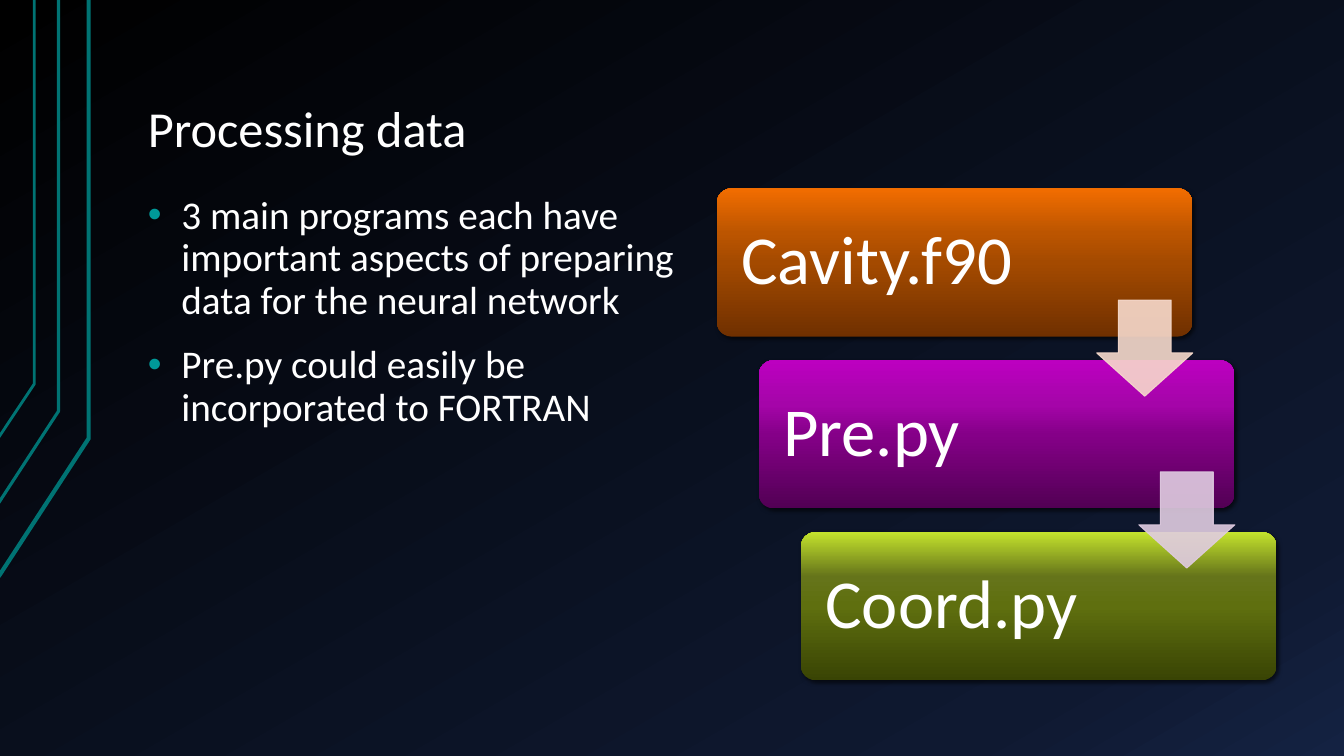
from dataclasses import dataclass

from lxml.etree import SubElement
from pptx import Presentation
from pptx.dml.color import RGBColor as RGB
from pptx.enum.shapes import MSO_SHAPE as SHAPE
from pptx.enum.text import MSO_ANCHOR as ANCHOR
from pptx.oxml.ns import qn
from pptx.util import Inches, Pt

W, H = Inches(13.33), Inches(7.5)
FONT = "Calibri"
COLORS = {"text": "FFFFFF", "bullet": "009999", "rail": "007373", "shadow": "000000"}


@dataclass(frozen=True)
class Box:
    """Place in percent of the slide's width and height."""
    x: float
    y: float
    w: float
    h: float

    def emu(self) -> tuple[int, int, int, int]:
        return across(self.x), down(self.y), across(self.w), down(self.h)


@dataclass(frozen=True)
class Stop:
    pos: int
    color: str


@dataclass(frozen=True)
class Rail:
    x: float
    start: float
    knee: float
    weight: float


@dataclass(frozen=True)
class Step:
    label: str
    stops: tuple[Stop, ...]
    arrow: str = ""


BACKGROUND = (Stop(0, "000000"), Stop(85, "0F1931"), Stop(100, "142242"))
RAILS = (
    Rail(6.6, 76.27, 58, 3),
    Rail(4.35, 66.53, 54.4, 2.25),
    Rail(2.55, 57.87, 50.8, 2),
)
TITLE = "Processing data"
BULLETS = (
    "3 main programs each have important aspects of preparing data for the neural network",
    "Pre.py could easily be incorporated to FORTRAN",
)
STEPS = (
    Step("Cavity.f90", (Stop(0, "703000"), Stop(50, "A44A00"),
                        Stop(70, "BC5500"), Stop(100, "F26D00")), "F7DACC"),
    Step("Pre.py", (Stop(0, "520054"), Stop(50, "850088"),
                    Stop(70, "A505A9"), Stop(100, "BC00C0")), "E0CCE1"),
    Step("Coord.py", (Stop(0, "394404"), Stop(50, "5F6F0F"),
                      Stop(70, "65741A"), Stop(100, "C4E32D"))),
)
STEP_DX, STEP_DY = 3.13, 22.73


def across(share: float) -> int:
    return int(W * share / 100)


def down(share: float) -> int:
    return int(H * share / 100)


def add_color(parent, color: str):
    return SubElement(parent, qn("a:srgbClr"), val=color)


def set_alpha(color_el, percent: int) -> None:
    SubElement(color_el, qn("a:alpha"), val=str(percent * 1000))


def fill_gradient(fill, owner, stops: tuple[Stop, ...], angle: int) -> None:
    """Fill with the stops; the angle runs clockwise."""
    fill.gradient()
    fill.gradient_angle = 360 - angle
    gs_list = next(owner.iter(qn("a:gsLst")))
    for old in list(gs_list):
        gs_list.remove(old)
    for stop in stops:
        add_color(SubElement(gs_list, qn("a:gs"), pos=str(stop.pos * 1000)), stop.color)


def add_shadow(sp) -> None:
    sp.shadow.inherit = False
    effects = sp._element.spPr.find(qn("a:effectLst"))
    outer = SubElement(effects, qn("a:outerShdw"), blurRad=str(Pt(3)), dist=str(Pt(2)),
                       dir=str(45 * 60000), algn="ctr", rotWithShape="0")
    set_alpha(add_color(outer, COLORS["shadow"]), 60)


def add_bullet(p) -> None:
    pPr = p._p.get_or_add_pPr()
    pPr.set("marL", str(across(2.5)))
    pPr.set("indent", str(-across(2.5)))
    add_color(SubElement(pPr, qn("a:buClr")), COLORS["bullet"])
    SubElement(pPr, qn("a:buFont"), typeface="Arial")
    SubElement(pPr, qn("a:buChar"), char="•")


def add_text(s, box: Box, lines: tuple[str, ...], size: int, anchor: ANCHOR,
             inset: tuple[float, float] = (1, 0.93), bullets: bool = False) -> None:
    tf = s.shapes.add_textbox(*box.emu()).text_frame
    tf.word_wrap = True
    tf.vertical_anchor = anchor
    tf.margin_left = tf.margin_right = across(inset[0])
    tf.margin_top = tf.margin_bottom = down(inset[1])
    for i, line in enumerate(lines):
        p = tf.add_paragraph() if i else tf.paragraphs[0]
        p.line_spacing = 0.9
        if bullets:
            p.space_before = Pt(16)
            add_bullet(p)
        r = p.add_run()
        r.text = line
        r.font.name, r.font.size = FONT, Pt(size)
        r.font.color.rgb = RGB.from_string(COLORS["text"])


def add_rail(s, rail: Rail) -> None:
    builder = s.shapes.build_freeform(across(-0.1), down(rail.start))
    builder.add_line_segments([(across(rail.x), down(rail.knee)), (across(rail.x), 0)],
                              close=False)
    sp = builder.convert_to_shape()
    sp.shadow.inherit = False
    sp.fill.background()
    sp.line.color.rgb = RGB.from_string(COLORS["rail"])
    sp.line.width = Pt(rail.weight)


def add_step(s, step: Step, x: float, y: float) -> None:
    sp = s.shapes.add_shape(SHAPE.ROUNDED_RECTANGLE, *Box(x, y, 35.4, 19.6).emu())
    sp.adjustments[0] = 0.1
    fill_gradient(sp.fill, sp._element, step.stops, 270)
    sp.line.fill.background()
    add_shadow(sp)
    add_text(s, Box(x + 0.32, y + 0.6, 24.5, 18.4), (step.label,), 49,
             ANCHOR.MIDDLE, inset=(1.5, 2.67))


def add_arrow(s, color: str, x: float, y: float) -> None:
    sp = s.shapes.add_shape(SHAPE.DOWN_ARROW, *Box(x, y, 7.15, 12.72).emu())
    sp.adjustments[0], sp.adjustments[1] = 0.55, 0.45
    sp.shadow.inherit = False
    sp.fill.solid()
    sp.fill.fore_color.rgb = RGB.from_string(color)
    sp.line.color.rgb = RGB.from_string(color)
    sp.line.width = Pt(0.75)
    for color_el in sp._element.spPr.iter(qn("a:srgbClr")):
        set_alpha(color_el, 90)


def main() -> None:
    prs = Presentation()
    prs.slide_width, prs.slide_height = W, H
    s = prs.slides.add_slide(prs.slide_layouts[6])
    fill_gradient(s.background.fill, s._element, BACKGROUND, 60)
    for rail in RAILS:
        add_rail(s, rail)
    add_text(s, Box(10, 4, 85, 17.87), (TITLE,), 36, ANCHOR.BOTTOM)
    add_text(s, Box(10, 24.93, 41.6, 65.07), BULLETS, 28, ANCHOR.TOP, bullets=True)
    places = [(53.33 + i * STEP_DX, 24.93 + i * STEP_DY) for i in range(len(STEPS))]
    for step, (x, y) in zip(STEPS, places):
        add_step(s, step, x, y)
    for step, (x, y) in zip(STEPS, places):
        if step.arrow:
            add_arrow(s, step.arrow, x + 28.27, y + 14.76)
    prs.save("out.pptx")


if __name__ == "__main__":
    main()
